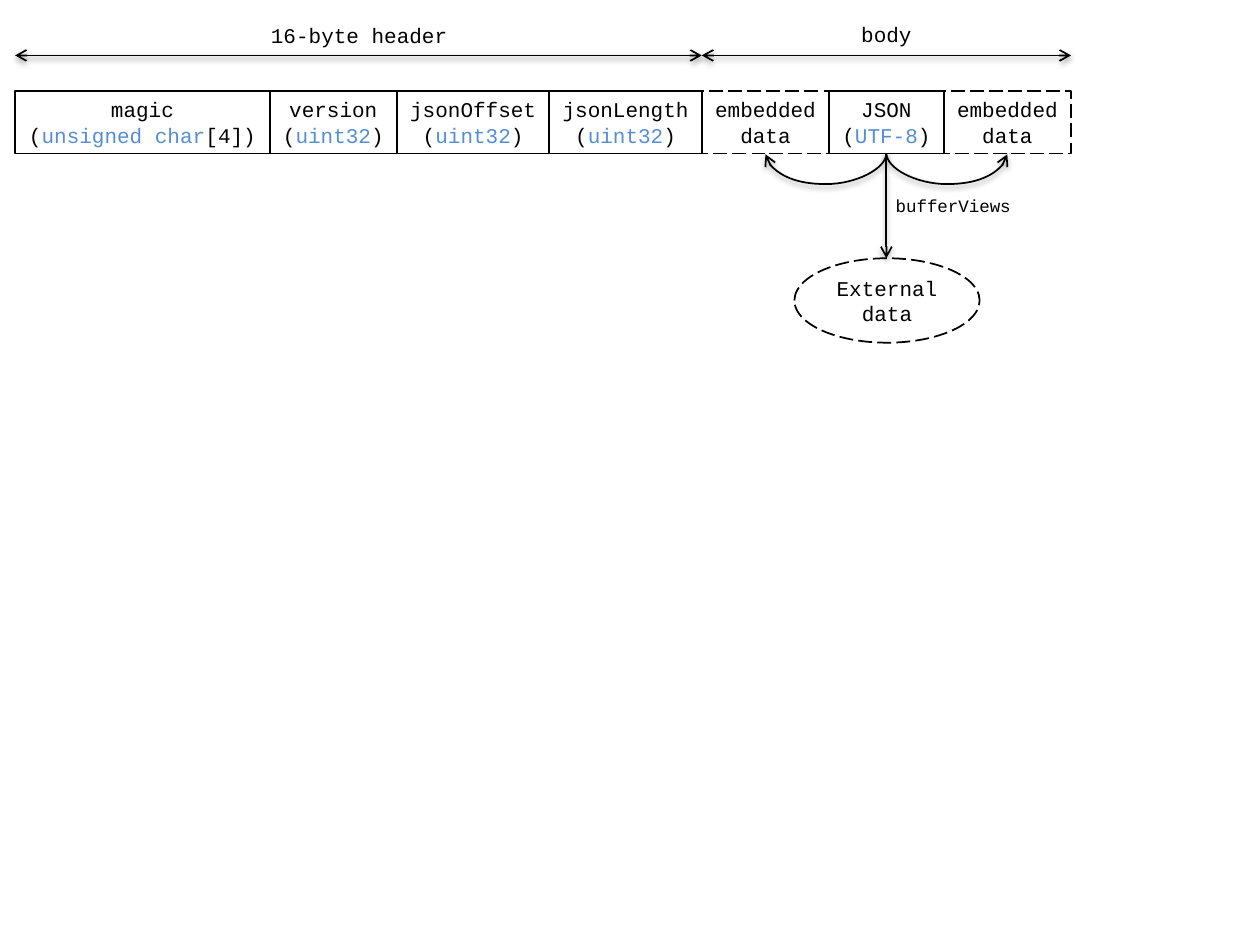
from pptx import Presentation
from pptx.dml.color import RGBColor
from pptx.enum.dml import MSO_LINE
from pptx.enum.shapes import MSO_CONNECTOR, MSO_SHAPE
from pptx.enum.text import MSO_ANCHOR, MSO_AUTO_SIZE, PP_ALIGN
from pptx.oxml import parse_xml
from pptx.oxml.ns import nsdecls
from pptx.util import Inches, Pt

BLACK, BLUE, WHITE = "000000", "558ED5", "FFFFFF"
SHADOW = (f'<a:effectLst {nsdecls("a")}><a:outerShdw blurRad="40000" dist="20000" '
          'dir="5400000" rotWithShape="0"><a:srgbClr val="000000">'
          '<a:alpha val="38000"/></a:srgbClr></a:outerShdw></a:effectLst>')


def write(shape, text, size=12, wrap=False, anchor=MSO_ANCHOR.TOP):
    """Fill a shape with centred lines; text between bars is blue."""
    frame = shape.text_frame
    frame.word_wrap = wrap
    frame.auto_size = MSO_AUTO_SIZE.NONE if wrap else MSO_AUTO_SIZE.SHAPE_TO_FIT_TEXT
    frame.vertical_anchor = anchor
    for row, line in enumerate(text.split("\n")):
        para = frame.paragraphs[0] if row == 0 else frame.add_paragraph()
        para.alignment = PP_ALIGN.CENTER
        for part, words in enumerate(line.split("|")):
            run = para.add_run()
            run.text = words
            run.font.name = "Courier New"
            run.font.size = Pt(size)
            run.font.color.rgb = RGBColor.from_string(BLUE if part % 2 else BLACK)


def link(start, end, ends=("tail",), kind=MSO_CONNECTOR.STRAIGHT):
    """Draw a shadowed black connector with open arrowheads."""
    line = deck.add_connector(kind, *map(Inches, start + end))
    line.line.color.rgb = RGBColor.from_string(BLACK)
    line.line.width = Pt(1)
    for end_name in ends:
        line.line._get_or_add_ln().append(
            parse_xml(f'<a:{end_name}End {nsdecls("a")} type="arrow"/>'))
    line._element.spPr.append(parse_xml(SHADOW))
    return line


show = Presentation()
show.slide_width, show.slide_height = Inches(10), Inches(7.5)
deck = show.slides.add_slide(show.slide_layouts[6]).shapes

# Columns of the byte layout: text, width, dashed
cells = [
    ("magic\n(|unsigned char|[4])", 2.02, False),
    ("version\n(|uint32|)", 1.01, False),
    ("jsonOffset\n(|uint32|)", 1.21, False),
    ("jsonLength\n(|uint32|)", 1.21, False),
    ("embedded\ndata", 1.01, True),
    ("JSON\n(|UTF-8|)", 0.91, False),
    ("embedded\ndata", 1.01, True),
]
edges = [0.12]
for _, width, _ in cells:
    edges.append(edges[-1] + width)
mids = [(a + b) / 2 for a, b in zip(edges, edges[1:])]
top, high = 0.72, 0.5
base = top + high
before, json, after = mids[4:]

# Cells, then the external data
boxes = [(MSO_SHAPE.RECTANGLE, left, top, width, high, text, dash)
         for left, (text, width, dash) in zip(edges, cells)]
boxes.append((MSO_SHAPE.OVAL, json - 0.73, 2.05, 1.47, 0.67, "External data", True))
for kind, left, y, width, tall, text, dash in boxes:
    oval = kind == MSO_SHAPE.OVAL
    box = deck.add_shape(kind, *map(Inches, (left, y, width, tall)))
    box.shadow.inherit = False
    if oval:
        box.fill.solid()
        box.fill.fore_color.rgb = RGBColor.from_string(WHITE)
    else:
        box.fill.background()
    box.line.color.rgb = RGBColor.from_string(BLACK)
    box.line.width = Pt(1)
    if dash:
        box.line.dash_style = MSO_LINE.LONG_DASH
    write(box, text, wrap=oval, anchor=MSO_ANCHOR.MIDDLE if oval else MSO_ANCHOR.TOP)

# Spans of header and body
for first, last in ((0, 4), (4, 7)):
    link((edges[first], 0.44), (edges[last], 0.44), ends=("head", "tail"))

# Labels
for text, left, y, width, tall, size in (
        ("16-byte header", 2.04, 0.13, 1.62, 0.3, 12),
        ("body", 6.73, 0.12, 0.61, 0.3, 12),
        ("bufferViews", 7, 1.5, 1.13, 0.27, 10)):
    write(deck.add_textbox(*map(Inches, (left, y, width, tall))), text, size)

# Curves from JSON to its neighbours: thin upright connectors, turned sideways
thin, sag = 0.01, 0.25
for goal, side, turn in ((after, 1, 270), (before, -1, 90)):
    mid, half = (json + goal) / 2, abs(goal - json) / 2
    curve = link((mid + side * thin / 2, base - half), (mid - side * thin / 2, base + half),
                 kind=MSO_CONNECTOR.CURVE)
    form = curve._element.spPr
    form.xfrm.set("rot", str(turn * 60000))
    form.prstGeom.get_or_add_avLst().append(parse_xml(
        f'<a:gd {nsdecls("a")} name="adj1" fmla="val {round(sag / thin * 100000)}"/>'))

# Arrow to the external data
link((json, base), (json, 2.05))

show.save("out.pptx")
